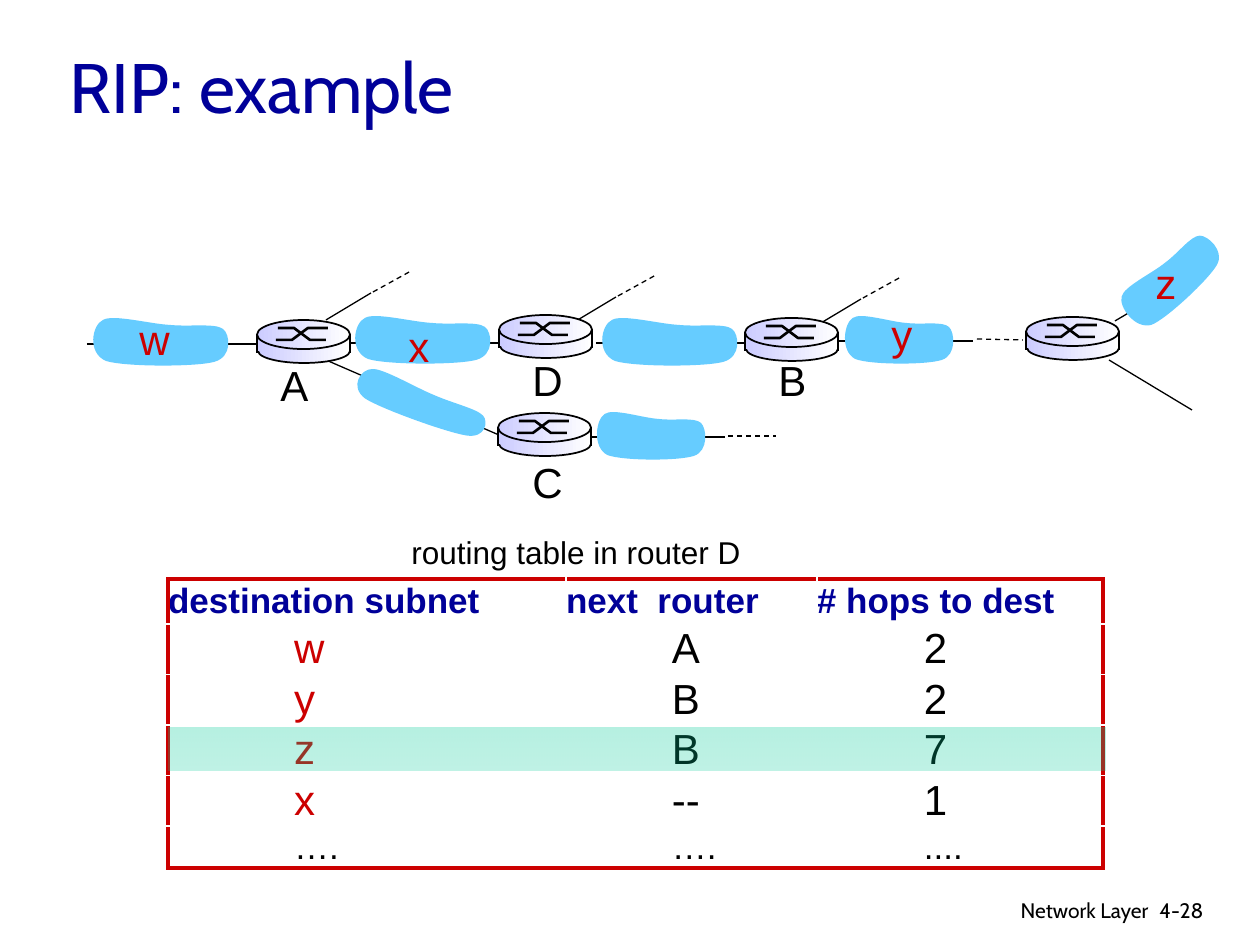
import dataclasses
import typing

import pptx
import pptx.dml.color
import pptx.enum.dml
import pptx.enum.shapes
import pptx.enum.text
import pptx.oxml
import pptx.oxml.ns
import pptx.util

EMU_PER_PX = 914400 / 126
SHAPE = pptx.enum.shapes.MSO_SHAPE
ANCHOR = pptx.enum.text.MSO_ANCHOR
ALIGN = pptx.enum.text.PP_ALIGN
Point = tuple[int, int]


@dataclasses.dataclass(frozen=True)
class Theme:
    navy: str = "000099"
    red: str = "CC0000"
    black: str = "000000"
    subnet: str = "66CCFF"
    router: tuple[str, str] = ("CCCCFF", "FFFFFF")
    highlight: str = "00CC99"
    body_font: str = "Arial"
    title_font: str = "Cabin"
    title: int = 40
    large: int = 24
    header: int = 20
    caption: int = 18
    footer: int = 12


class Link(typing.NamedTuple):
    start: Point
    end: Point
    weight: float = 0.75
    dashed: bool = False


class Subnet(typing.NamedTuple):
    left: int
    top: int
    width: int = 146
    height: int = 53
    rotation: float = 0


class Label(typing.NamedTuple):
    text: str
    left: int
    top: int
    width: int
    color: str


class Column(typing.NamedTuple):
    heading: str
    width: int
    indent: int
    color: str
    values: tuple[str, ...]


THEME = Theme()

# Network
LINKS = [
    Link((87, 344), (258, 344), 1), Link((349, 343), (519, 343), 1),
    Link((596, 343), (767, 343), 1), Link((838, 341), (973, 341)),
    Link((977, 339), (1023, 340), dashed=True),
    Link((1115, 321), (1198, 272)), Link((1109, 360), (1192, 410)),
    Link((326, 360), (499, 435)), Link((590, 437), (725, 437)),
    Link((728, 436), (776, 436), dashed=True),
]
STUB_STARTS = [(326, 320), (571, 324), (816, 326)]
ROUTERS = [(257, 320), (499, 315), (745, 318), (1026, 317), (498, 413)]
SUBNETS = [
    Subnet(87, 314), Subnet(349, 312), Subnet(596, 314),
    Subnet(840, 312, width=117), Subnet(592, 408, width=117),
    Subnet(348, 383, height=39, rotation=19.7),
    Subnet(1110, 253, width=120, rotation=316.8),
]
LABELS = [
    Label("w", 127, 307, 55, THEME.red), Label("x", 396, 314, 45, THEME.red),
    Label("y", 879, 302, 45, THEME.red), Label("z", 1143, 251, 45, THEME.red),
    Label("A", 268, 353, 53, THEME.black), Label("B", 766, 348, 53, THEME.black),
    Label("C", 520, 450, 55, THEME.black), Label("D", 520, 348, 55, THEME.black),
]
# Start point, then three Bézier points for each curve
SUBNET_OUTLINE = [
    (83, 11), (63, 10), (26, 0), (16, 6), (5, 11), (0, 39), (19, 47),
    (38, 53), (108, 53), (127, 48), (146, 43), (143, 20), (136, 15),
    (128, 9), (103, 13), (83, 11),
]
CROSSINGS = [
    [(19, 20), (35, 20), (51, 8), (71, 8)],
    [(21, 8), (37, 8), (53, 20), (69, 20)],
]

# Routing table
COLUMNS = [
    Column("destination subnet", 398, 126, THEME.red, ("w", "y", "z", "x", "….")),
    Column("next  router", 251, 106, THEME.black, ("A", "B", "B", "--", "….")),
    Column("# hops to dest", 286, 107, THEME.black, ("2", "2", "7", "1", "....")),
]
ROW_HEIGHTS = [45, 50, 50, 50, 50, 41]


def px(length: float) -> pptx.util.Emu:
    return pptx.util.Emu(round(length * EMU_PER_PX))


def rgb(color: str) -> pptx.dml.color.RGBColor:
    return pptx.dml.color.RGBColor.from_string(color)


def write(frame, text: str, *, size: int, color: str = THEME.black,
          font: str = THEME.body_font, bold: bool = False,
          align=ALIGN.LEFT, wrap: bool = True) -> None:
    frame.word_wrap = wrap
    paragraph = frame.paragraphs[0]
    paragraph.alignment = align
    run = paragraph.add_run()
    run.text = text
    run.font.size, run.font.name, run.font.bold = pptx.util.Pt(size), font, bold
    run.font.color.rgb = rgb(color)


def add_text(slide, text: str, box: tuple[int, int, int, int],
             anchor=ANCHOR.TOP, **style) -> None:
    frame = slide.shapes.add_textbox(*map(px, box)).text_frame
    frame.vertical_anchor = anchor
    write(frame, text, **style)


def draw_link(shapes, link: Link) -> None:
    line = shapes.add_connector(pptx.enum.shapes.MSO_CONNECTOR.STRAIGHT,
                                *map(px, link.start + link.end))
    line.line.color.rgb = rgb(THEME.black)
    line.line.width = pptx.util.Pt(link.weight)
    if link.dashed:
        line.line.dash_style = pptx.enum.dml.MSO_LINE.DASH
    line._element.spPr.append(pptx.oxml.parse_xml(
        f"<a:effectLst {pptx.oxml.ns.nsdecls('a')}/>"))


def draw_outline(shapes, points: list[tuple[float, float]], closed: bool):
    (x, y), *rest = [(px(x), px(y)) for x, y in points]
    builder = shapes.build_freeform(x, y)
    builder.add_line_segments(rest, close=closed)
    outline = builder.convert_to_shape()
    outline.shadow.inherit = False
    return outline


def draw_subnet(shapes, subnet: Subnet) -> None:
    cloud = draw_outline(shapes, [
        (subnet.left + x * subnet.width / 146, subnet.top + y * subnet.height / 53)
        for x, y in SUBNET_OUTLINE], closed=True)
    # Turn each three segments into one curve
    segments = cloud._element.xpath(".//a:lnTo")
    for first in range(0, 15, 3):
        curve = pptx.oxml.parse_xml(f"<a:cubicBezTo {pptx.oxml.ns.nsdecls('a')}/>")
        segments[first].addprevious(curve)
        for segment in segments[first:first + 3]:
            curve.append(segment[0])
            segment.getparent().remove(segment)
    cloud.fill.solid()
    cloud.fill.fore_color.rgb = rgb(THEME.subnet)
    cloud.line.fill.background()
    cloud.rotation = subnet.rotation


def draw_gradient(shapes, kind, box: tuple[int, int, int, int],
                  colors: tuple[str, str], angle: int, outlined: bool):
    area = shapes.add_shape(kind, *map(px, box))
    area.shadow.inherit = False
    area.fill.gradient()
    area.fill.gradient_angle = angle
    for stop, color in zip(area.fill.gradient_stops, colors):
        stop.color.rgb = rgb(color)
    if outlined:
        area.line.color.rgb = rgb(THEME.black)
        area.line.width = pptx.util.Pt(1)
    else:
        area.line.fill.background()
    return area


def draw_router(slide, x: int, y: int) -> None:
    parts = slide.shapes.add_group_shape().shapes
    for kind, box, outlined in [
            (SHAPE.OVAL, (x + 1, y + 19, 92, 24), True),
            (SHAPE.RECTANGLE, (x + 1, y + 16, 92, 15), False),
            (SHAPE.OVAL, (x, y, 93, 29), True)]:
        draw_gradient(parts, kind, box, THEME.router, 0, outlined)
    for crossing in CROSSINGS:
        arm = draw_outline(parts, [(x + dx, y + dy) for dx, dy in crossing], closed=False)
        arm.fill.background()
        arm.line.color.rgb = rgb(THEME.black)
        arm.line.width = pptx.util.Pt(1.5)
    for side in (x, x + 93):
        draw_link(parts, Link((side, y + 14), (side, y + 33), 1))


def add_border(cell, side: str) -> None:
    cell._tc.get_or_add_tcPr().append(pptx.oxml.parse_xml(
        f'<a:ln{side} {pptx.oxml.ns.nsdecls("a")} w="28575"><a:solidFill>'
        f'<a:srgbClr val="{THEME.red}"/></a:solidFill></a:ln{side}>'))


def draw_table(slide, left: int, top: int) -> None:
    width = sum(column.width for column in COLUMNS)
    last_row, last_column = len(ROW_HEIGHTS) - 1, len(COLUMNS) - 1
    table = slide.shapes.add_table(last_row + 1, last_column + 1, px(left), px(top),
                                   px(width), px(sum(ROW_HEIGHTS))).table
    table.first_row = table.horz_banding = False
    for r, height in enumerate(ROW_HEIGHTS):
        table.rows[r].height = px(height)
    for c, column in enumerate(COLUMNS):
        table.columns[c].width = px(column.width)
        for r, text in enumerate((column.heading,) + column.values):
            cell = table.cell(r, c)
            heading, dots = r == 0, r == last_row
            cell.margin_top = cell.margin_bottom = cell.margin_right = 0
            cell.margin_left = 0 if heading else px(column.indent)
            cell.vertical_anchor = ANCHOR.MIDDLE
            write(cell.text_frame, text, bold=heading,
                  size=THEME.header if heading or dots else THEME.large,
                  color=THEME.navy if heading else THEME.black if dots else column.color)
            for side, outer in (("L", c == 0), ("R", c == last_column),
                                ("T", heading), ("B", dots)):
                if outer:
                    add_border(cell, side)
            cell.fill.background()


def main() -> None:
    deck = pptx.Presentation()
    deck.slide_width, deck.slide_height = px(1260), px(945)
    slide = deck.slides.add_slide(deck.slide_layouts[6])

    # Title and footer
    add_text(slide, "RIP: example", (57, 26, 543, 118), ANCHOR.MIDDLE,
             size=THEME.title, color=THEME.navy, font=THEME.title_font)
    add_text(slide, "Network Layer", (762, 891, 399, 39), size=THEME.footer,
             font=THEME.title_font, align=ALIGN.RIGHT)
    add_text(slide, "4-28", (1147, 891, 93, 38), size=THEME.footer, font=THEME.title_font)

    # Network diagram
    stubs = [Link((x + a, y + b), (x + c, y + d), dashed=dashed)
             for x, y in STUB_STARTS
             for a, b, c, d, dashed in ((0, 0, 45, -27, False), (47, -28, 85, -49, True))]
    for link in LINKS + stubs:
        draw_link(slide.shapes, link)
    for subnet in SUBNETS:
        draw_subnet(slide.shapes, subnet)
    for x, y in ROUTERS:
        draw_router(slide, x, y)
    for label in LABELS:
        add_text(slide, label.text, (label.left, label.top, label.width, 63),
                 size=THEME.large, color=label.color, wrap=False)

    # Routing table with the row for z highlighted
    add_text(slide, "routing table in router D", (399, 527, 354, 50),
             size=THEME.caption, wrap=False)
    draw_table(slide, 168, 579)
    band = draw_gradient(slide.shapes, SHAPE.RECTANGLE, (168, 728, 937, 43),
                         (THEME.highlight, THEME.highlight), 270, outlined=False)
    for color, alpha in zip(band._element.xpath(".//a:gs/a:srgbClr"), (29000, 25000)):
        color.append(pptx.oxml.parse_xml(
            f'<a:alpha {pptx.oxml.ns.nsdecls("a")} val="{alpha}"/>'))

    deck.save("out.pptx")


if __name__ == "__main__":
    main()
